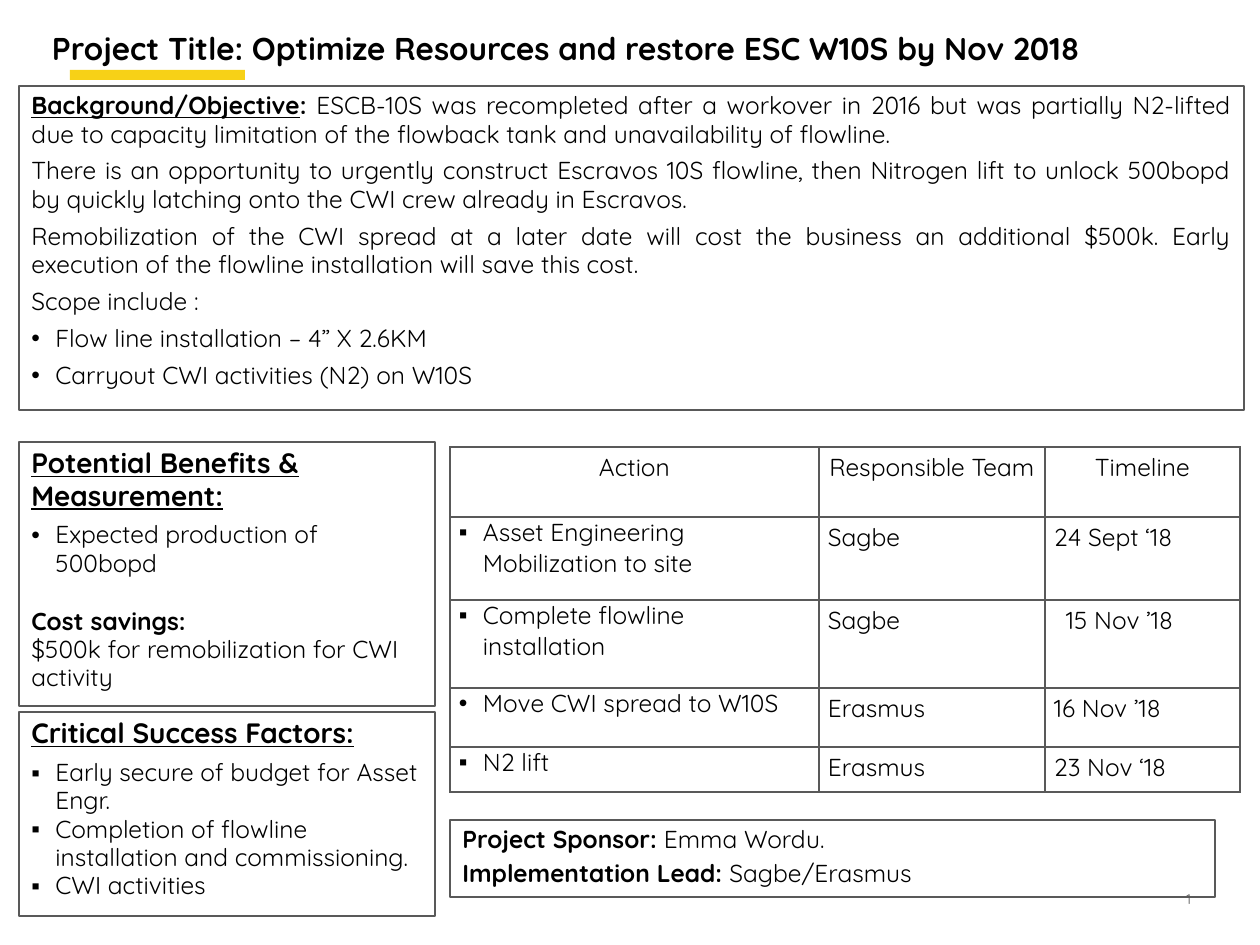
from dataclasses import dataclass
from typing import Any, Optional

import pptx
import pptx.dml.color
import pptx.enum.shapes
import pptx.enum.text
import pptx.oxml.ns
import pptx.util
from lxml import etree

PX_PER_INCH = 126
ALIGN = pptx.enum.text.PP_ALIGN
SHAPE = pptx.enum.shapes.MSO_SHAPE
DOT, SQUARE = "•", "▪"


@dataclass(frozen=True)
class Theme:
    font: str = "Quicksand"
    text: str = "000000"
    line: str = "595959"
    accent: str = "F7D117"
    paper: str = "FFFFFF"
    title: int = 18
    heading: int = 16
    body: int = 14
    footer: int = 8
    tight: float = 0.96
    loose: float = 1.15


THEME = Theme()


@dataclass(frozen=True)
class Para:
    """A paragraph with an optional bold lead before its text."""
    text: str = ""
    lead: str = ""
    underline: bool = False
    align: Any = ALIGN.LEFT
    size: int = THEME.body
    color: str = THEME.text
    bullet: str = ""
    indent: int = 0
    before: int = 0
    after: int = 0
    spacing: float = THEME.tight


@dataclass(frozen=True)
class Panel:
    box: tuple[int, int, int, int]
    paras: list[Para]
    fill: Optional[str] = None


@dataclass(frozen=True)
class Action:
    name: str
    team: str
    date: str
    height: int
    bullet: str = SQUARE
    date_indent: int = 0


def px(n: int) -> pptx.util.Emu:
    return pptx.util.Emu(round(n * 914400 / PX_PER_INCH))


def rgb(value: str) -> pptx.dml.color.RGBColor:
    return pptx.dml.color.RGBColor.from_string(value)


def child(parent, tag: str, **attrs: str):
    return etree.SubElement(parent, pptx.oxml.ns.qn(tag), attrs)


def write_para(p, para: Para) -> None:
    pPr = p._p.get_or_add_pPr()
    hanging = 24 if para.bullet else 0
    if hanging or para.indent:
        pPr.set("marL", str(px(hanging + para.indent)))
        pPr.set("indent", str(-px(hanging)))
    if para.bullet:
        child(pPr, "a:buFont", typeface="Arial")
        child(pPr, "a:buChar", char=para.bullet)
    p.alignment = para.align
    p.line_spacing = para.spacing
    p.space_before = pptx.util.Pt(para.before)
    p.space_after = pptx.util.Pt(para.after)
    p.font.name = THEME.font
    p.font.size = pptx.util.Pt(para.size)
    p.font.color.rgb = rgb(para.color)
    if para.lead:
        r = p.add_run()
        r.text = para.lead
        r.font.bold = True
        r.font.underline = para.underline
        if para.underline and para.text:
            r = p.add_run()
            r.text = ": "
            r.font.bold = True
    if para.text:
        p.add_run().text = para.text


def write_paras(tf, paras: list[Para]) -> None:
    tf.word_wrap = True
    tf.vertical_anchor = pptx.enum.text.MSO_ANCHOR.TOP
    for i, para in enumerate(paras):
        write_para(tf.add_paragraph() if i else tf.paragraphs[0], para)


def add_rect(s, box: tuple[int, int, int, int], fill: Optional[str], line: Optional[str]):
    sp = s.shapes.add_shape(SHAPE.RECTANGLE, *map(px, box))
    sp.shadow.inherit = False
    if fill:
        sp.fill.solid()
        sp.fill.fore_color.rgb = rgb(fill)
    else:
        sp.fill.background()
    if line:
        sp.line.color.rgb = rgb(line)
        sp.line.width = pptx.util.Pt(0.75)
    else:
        sp.line.fill.background()
    return sp


def add_panel(s, panel: Panel) -> None:
    sp = add_rect(s, panel.box, panel.fill, THEME.line)
    write_paras(sp.text_frame, panel.paras)


def add_label(s, box: tuple[int, int, int, int], para: Para) -> None:
    tf = s.shapes.add_textbox(*map(px, box)).text_frame
    tf.margin_left = tf.margin_right = tf.margin_top = tf.margin_bottom = 0
    write_paras(tf, [para])


def write_cell(cell, para: Para) -> None:
    cell.margin_left = cell.margin_right = px(9)
    cell.margin_top = cell.margin_bottom = 0
    write_para(cell.text_frame.paragraphs[0], para)
    tcPr = cell._tc.get_or_add_tcPr()
    for side in ("a:lnL", "a:lnR", "a:lnT", "a:lnB"):
        ln = child(tcPr, side, w=str(pptx.util.Pt(1)))
        child(child(ln, "a:solidFill"), "a:srgbClr", val=THEME.line)
    cell.fill.background()


def add_action_table(s, left: int, top: int, widths: list[int], header: list[str],
                     header_height: int, actions: list[Action]) -> None:
    heights = [header_height] + [a.height for a in actions]
    table = s.shapes.add_table(len(heights), len(widths), px(left), px(top),
                               px(sum(widths)), px(sum(heights))).table
    table.first_row = table.horz_banding = False
    for col, width in zip(table.columns, widths):
        col.width = px(width)
    for row, height in zip(table.rows, heights):
        row.height = px(height)
    rows = [[Para(h, align=ALIGN.CENTER, spacing=THEME.loose) for h in header]]
    rows += [[Para(a.name, bullet=a.bullet, spacing=1.0),
              Para(a.team, spacing=THEME.loose),
              Para(a.date, indent=a.date_indent, spacing=THEME.loose)] for a in actions]
    for i, row in enumerate(rows):
        for j, para in enumerate(row):
            write_cell(table.cell(i, j), para)


def heading(text: str) -> Para:
    return Para(lead=text, underline=True, size=THEME.heading, after=5)


def background(text: str, lead: str = "", bullet: str = "") -> Para:
    return Para(text, lead, bool(lead), ALIGN.JUSTIFY, bullet=bullet, after=5)


PANELS = [
    Panel((19, 86, 1225, 324), [
        background("ESCB-10S was recompleted after a workover in 2016 but was partially N2-lifted due to "
                   "capacity limitation of the flowback tank and unavailability of flowline.",
                   lead="Background/Objective"),
        background("There is an opportunity to urgently construct Escravos 10S flowline, then Nitrogen lift "
                   "to unlock 500bopd by quickly latching onto the CWI crew already in Escravos."),
        background("Remobilization of the CWI spread at a later date will cost the business an additional "
                   "$500k. Early execution of the flowline installation will save this cost."),
        background("Scope include :"),
        background("Flow line installation – 4” X 2.6KM", bullet=DOT),
        background("Carryout CWI activities (N2) on W10S", bullet=DOT),
    ], THEME.paper),
    Panel((19, 442, 416, 264), [
        heading("Potential Benefits & Measurement:"),
        Para("Expected production of 500bopd", bullet=DOT),
        Para(lead="Cost savings:", before=17),
        Para("$500k for remobilization for CWI activity"),
    ], THEME.paper),
    Panel((19, 712, 416, 204), [
        heading("Critical Success Factors:"),
        Para("Early secure of budget for Asset Engr.", bullet=SQUARE),
        Para("Completion of flowline installation and commissioning.", bullet=SQUARE),
        Para("CWI activities", bullet=SQUARE),
    ]),
    Panel((450, 820, 765, 77), [
        Para("Emma Wordu.", "Project Sponsor: "),
        Para("Sagbe/Erasmus", "Implementation Lead: ", before=3),
    ]),
]
ACTIONS = [
    Action("Asset Engineering Mobilization to site", "Sagbe", "24 Sept ‘18", 83),
    Action("Complete flowline installation", "Sagbe", "15 Nov ’18", 88, date_indent=12),
    Action("Move CWI spread to W10S", "Erasmus", "16 Nov ’18", 59, bullet=DOT),
    Action("N2 lift", "Erasmus", "23 Nov ‘18", 45),
]


def main() -> None:
    prs = pptx.Presentation()
    prs.slide_width, prs.slide_height = px(1260), px(945)
    s = prs.slides.add_slide(prs.slide_layouts[6])
    add_rect(s, (70, 70, 175, 10), THEME.accent, None)
    for panel in PANELS:
        add_panel(s, panel)
    add_action_table(s, 450, 447, [369, 226, 195], ["Action", "Responsible Team", "Timeline"], 70, ACTIONS)
    add_label(s, (1154, 892, 37, 33),
              Para("1", align=ALIGN.RIGHT, size=THEME.footer, color=THEME.line))
    add_label(s, (52, 29, 1121, 50),
              Para(lead="Project Title: Optimize Resources and restore ESC W10S by Nov 2018",
                   size=THEME.title, spacing=1.0))
    prs.save("out.pptx")


if __name__ == "__main__":
    main()
